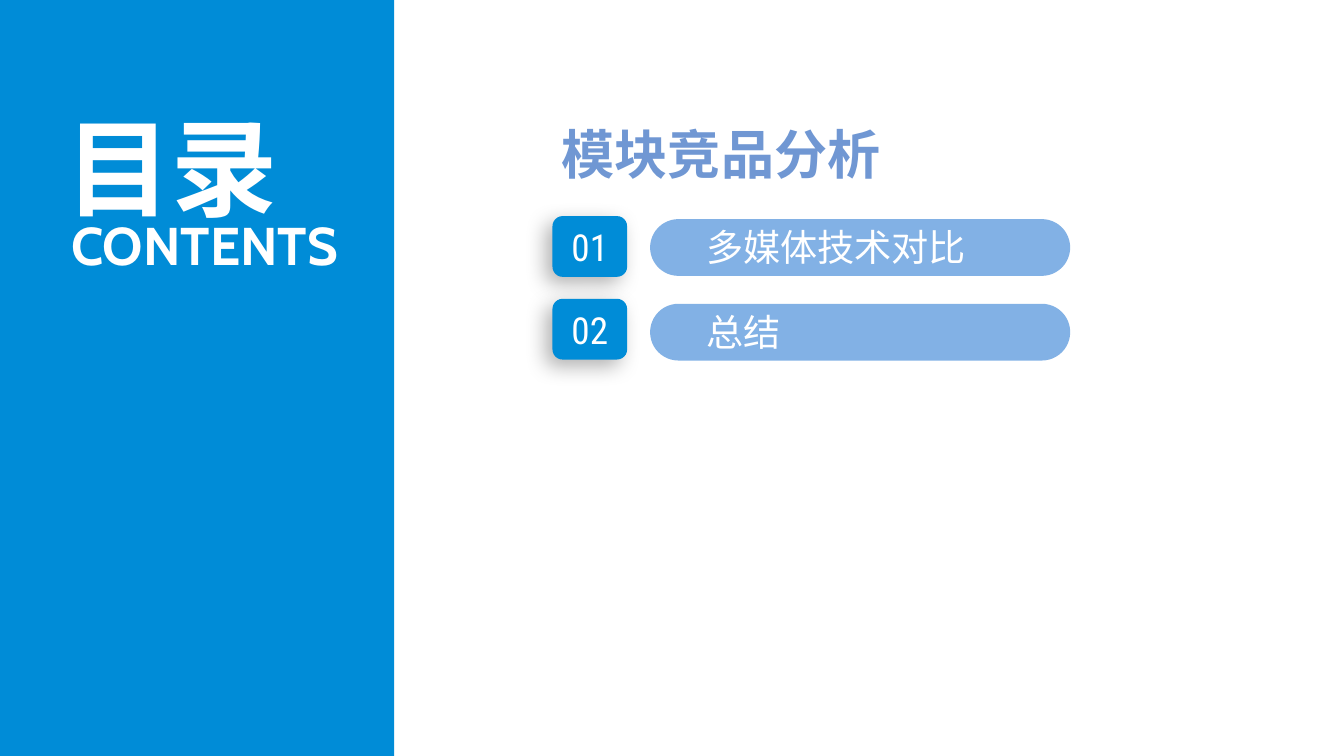
import lxml.etree
import pptx
import pptx.dml.color
import pptx.enum.shapes
import pptx.enum.text
import pptx.oxml.ns
import pptx.util

PX = 9525
PAGE_WIDTH, PAGE_HEIGHT = 1350, 759
COLORS = {"blue": "008CD7", "pill": "82B1E5", "heading": "7097D3", "white": "FFFFFF", "shadow": "000000"}
CHINESE, ENGLISH, DIGITS = "Noto Sans CJK SC", "Cabin", "Roboto Condensed"
SHAPES = pptx.enum.shapes.MSO_SHAPE
ALIGN = pptx.enum.text.PP_ALIGN
ANCHOR = pptx.enum.text.MSO_ANCHOR
ENTRIES = ["多媒体技术对比", "总结"]
PILL_STEP, BADGE_STEP = 85, 83


def color(name):
    """Return the named colour."""
    return pptx.dml.color.RGBColor.from_string(COLORS[name])


def add_child(parent, tag, **attributes):
    """Append a drawing element with the given attributes."""
    return lxml.etree.SubElement(parent, pptx.oxml.ns.qn(tag), attributes)


def write(frame, text, typeface, size, ink="white", bold=False, **layout):
    """Write one formatted paragraph into a text frame."""
    para = frame.paragraphs[0]
    for name, value in layout.items():
        setattr(para, name, value)
    span = para.add_run()
    span.text = text
    font_values = {"name": typeface, "size": pptx.util.Pt(size), "bold": bold}
    for name, value in font_values.items():
        setattr(span.font, name, value)
    span.font.color.rgb = color(ink)
    add_child(span.font._element, "a:ea", typeface=typeface)


def add_label(page, box, text, typeface, size, ink="white", bold=False, wrap=True):
    """Add a text box with one line of text."""
    label = page.shapes.add_textbox(*(length * PX for length in box))
    label.text_frame.word_wrap = wrap
    write(label.text_frame, text, typeface, size, ink, bold, line_spacing=1.2)


def add_block(page, kind, box, fill):
    """Add a flat shape without an outline."""
    block = page.shapes.add_shape(kind, *(length * PX for length in box))
    block.shadow.inherit = False
    block.fill.solid()
    block.fill.fore_color.rgb = color(fill)
    block.line.fill.background()
    return block


def add_badge(page, box, number):
    """Add a numbered badge with a soft shadow at its lower left."""
    badge = add_block(page, SHAPES.ROUNDED_RECTANGLE, box, "blue")
    effects = badge._element.spPr.find(pptx.oxml.ns.qn("a:effectLst"))
    shadow = add_child(effects, "a:outerShdw", blurRad=str(pptx.util.Pt(16)), dist=str(pptx.util.Pt(7)),
                       dir=str(135 * 60000), algn="tr", rotWithShape="0")
    tint = add_child(shadow, "a:srgbClr", val=COLORS["shadow"])
    add_child(tint, "a:alpha", val="30000")
    badge.text_frame.vertical_anchor = ANCHOR.MIDDLE
    write(badge.text_frame, f"{number:02d}", DIGITS, 28, alignment=ALIGN.CENTER)


def add_sidebar(page, left, top, width, height):
    """Build the blue panel with the slide title in two languages."""
    add_block(page, SHAPES.RECTANGLE, (left, top, width, height), "blue")
    add_label(page, (left + 56, top + 72, 252, 152), "目录", CHINESE, 80, bold=True)
    add_label(page, (left + 62, top + 196, 292, 81), "CONTENTS", ENGLISH, 40, bold=True)


def add_contents(page, left, top, width):
    """Build the heading and the numbered entries under it."""
    add_label(page, (left, top, width, 87), "模块竞品分析", CHINESE, 40, "heading", True)
    for index, entry in enumerate(ENTRIES):
        pill_top = top + 116 + index * PILL_STEP
        pill = add_block(page, SHAPES.ROUNDED_RECTANGLE, (left + 98, pill_top, 422, 57), "pill")
        pill.adjustments[0] = 0.5
        add_label(page, (left + 145, pill_top - 8, 280, 63), entry, CHINESE, 28, wrap=False)
        add_badge(page, (left, top + 113 + index * BADGE_STEP, 75, 61), index + 1)


def main():
    """Build and save the contents slide."""
    deck = pptx.Presentation()
    deck.slide_width, deck.slide_height = PAGE_WIDTH * PX, PAGE_HEIGHT * PX
    page = deck.slides.add_slide(deck.slide_layouts[6])
    add_sidebar(page, 0, 0, 396, PAGE_HEIGHT)
    add_contents(page, 555, 104, 549)
    deck.save("out.pptx")


if __name__ == "__main__":
    main()
